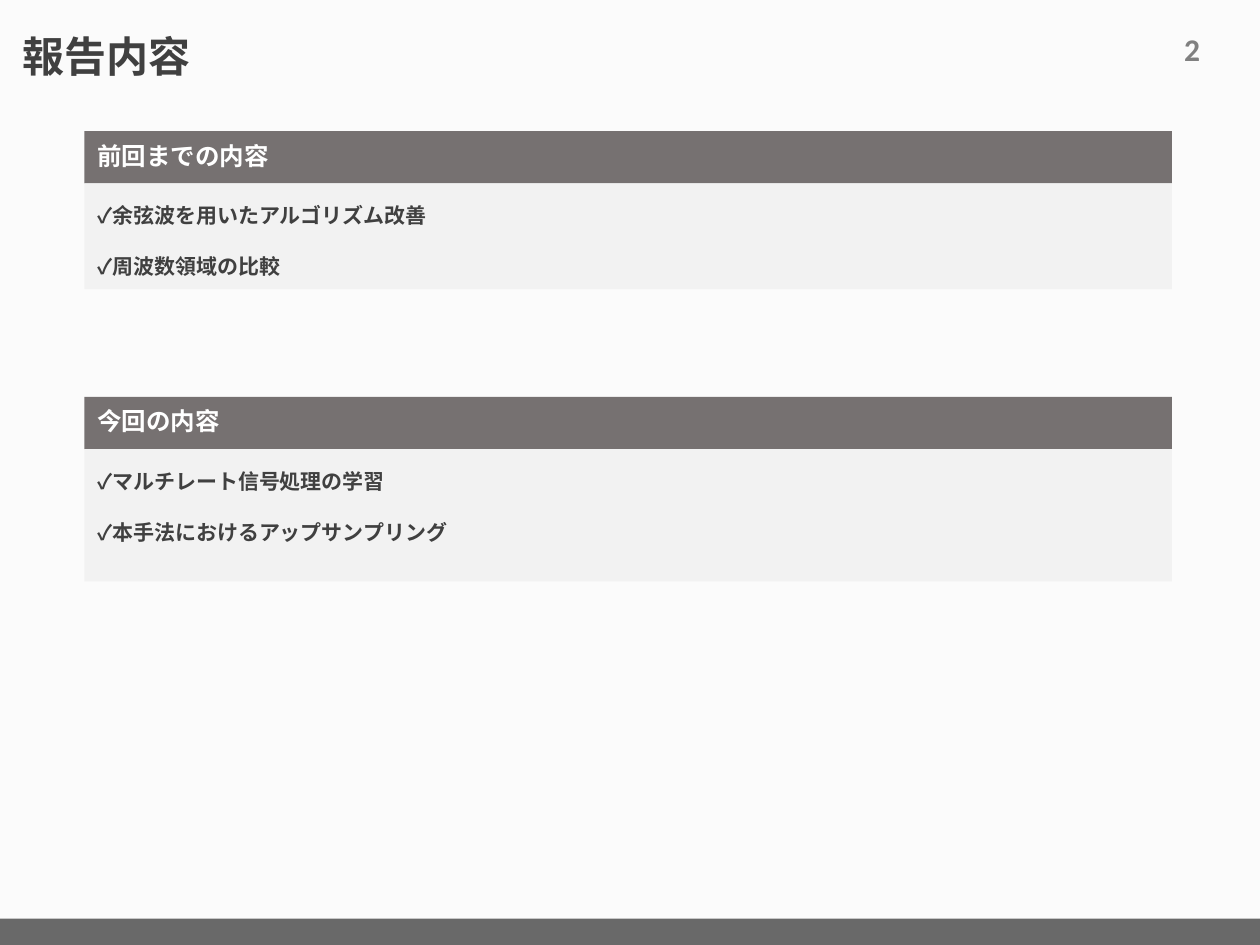
from pptx import Presentation
from pptx.dml.color import RGBColor
from pptx.enum.shapes import MSO_SHAPE
from pptx.enum.text import MSO_ANCHOR, MSO_AUTO_SIZE, PP_ALIGN
from pptx.oxml.ns import qn
from pptx.util import Inches, Pt

# Content
TITLE = "報告内容"
PAGE_NUMBER = "2"
SECTIONS = [
    {"heading": "前回までの内容", "top": 1.04, "body_height": 0.84,
     "items": ["✓余弦波を用いたアルゴリズム改善\u3000", "✓周波数領域の比較"]},
    {"heading": "今回の内容", "top": 3.15, "body_height": 1.05,
     "items": ["✓マルチレート信号処理の学習", "✓本手法におけるアップサンプリング"]},
]

# Layout, in inches
SLIDE_WIDTH, SLIDE_HEIGHT = 10, 7.5
FOOTER_HEIGHT = 0.21
SECTION_LEFT, SECTION_WIDTH = 0.67, 8.63
HEADING_HEIGHT = 0.415

# Colours
BACKGROUND = RGBColor(0xFB, 0xFB, 0xFB)
FOOTER = RGBColor(0x69, 0x69, 0x69)
HEADING_FILL = RGBColor(0x76, 0x71, 0x71)
BODY_FILL = RGBColor(0xF2, 0xF2, 0xF2)
DARK_TEXT = RGBColor(0x40, 0x40, 0x40)
GREY_TEXT = RGBColor(0x80, 0x80, 0x80)
WHITE = RGBColor(0xFF, 0xFF, 0xFF)


def place(shape, left, top, width, height, fill=None):
    shape.left, shape.top = Inches(left), Inches(top)
    shape.width, shape.height = Inches(width), Inches(height)
    if fill is not None:
        shape.fill.solid()
        shape.fill.fore_color.rgb = fill


def write_text(shape, lines, size, color, font="Calibri", anchor=MSO_ANCHOR.TOP,
               line_spacing=1.0, space_before=0):
    frame = shape.text_frame
    frame.text = "\n".join(lines)
    frame.word_wrap = True
    frame.auto_size = MSO_AUTO_SIZE.NONE
    frame.vertical_anchor = anchor
    for paragraph in frame.paragraphs:
        paragraph.alignment = PP_ALIGN.LEFT
        paragraph.line_spacing = line_spacing
        paragraph.space_before = Pt(space_before)
        properties = paragraph._p.get_or_add_pPr()
        properties.set("marL", "0")
        properties.set("indent", "0")
        properties.append(properties.makeelement(qn("a:buNone"), {}))
        for run in paragraph.runs:
            run.font.name = font
            run.font.size = Pt(size)
            run.font.bold = True
            run.font.color.rgb = color


def main():
    presentation = Presentation()
    presentation.slide_width = Inches(SLIDE_WIDTH)
    presentation.slide_height = Inches(SLIDE_HEIGHT)
    slide = presentation.slides.add_slide(
        presentation.slide_layouts.get_by_name("Comparison"))
    slide.background.fill.solid()
    slide.background.fill.fore_color.rgb = BACKGROUND

    # Footer band
    footer = slide.shapes.add_shape(MSO_SHAPE.RECTANGLE, 0, 0, 0, 0)
    place(footer, 0, SLIDE_HEIGHT - FOOTER_HEIGHT, SLIDE_WIDTH, FOOTER_HEIGHT, FOOTER)
    footer.line.fill.background()
    footer.shadow.inherit = False

    # Title and page number
    title = slide.shapes.title
    place(title, 0.08, 0.08, 5.35, 0.62)
    write_text(title, [TITLE], size=24, color=DARK_TEXT, font="Arial",
               anchor=MSO_ANCHOR.BOTTOM, line_spacing=0.9)
    number = slide.shapes.add_textbox(0, 0, 0, 0)
    place(number, 9.3, 0.19, 0.53, 0.4)
    write_text(number, [PAGE_NUMBER], size=18, color=GREY_TEXT)

    # Sections: the layout pairs each heading with a body
    for index, section in enumerate(SECTIONS):
        heading = slide.placeholders[2 * index + 1]
        body = slide.placeholders[2 * index + 2]
        place(heading, SECTION_LEFT, section["top"], SECTION_WIDTH,
              HEADING_HEIGHT, HEADING_FILL)
        write_text(heading, [section["heading"]], size=14, color=WHITE,
                   anchor=MSO_ANCHOR.MIDDLE, line_spacing=0.9)
        place(body, SECTION_LEFT, section["top"] + HEADING_HEIGHT, SECTION_WIDTH,
              section["body_height"], BODY_FILL)
        write_text(body, section["items"], size=12, color=DARK_TEXT,
                   line_spacing=1.5, space_before=7.5)

    presentation.save("out.pptx")


if __name__ == "__main__":
    main()
